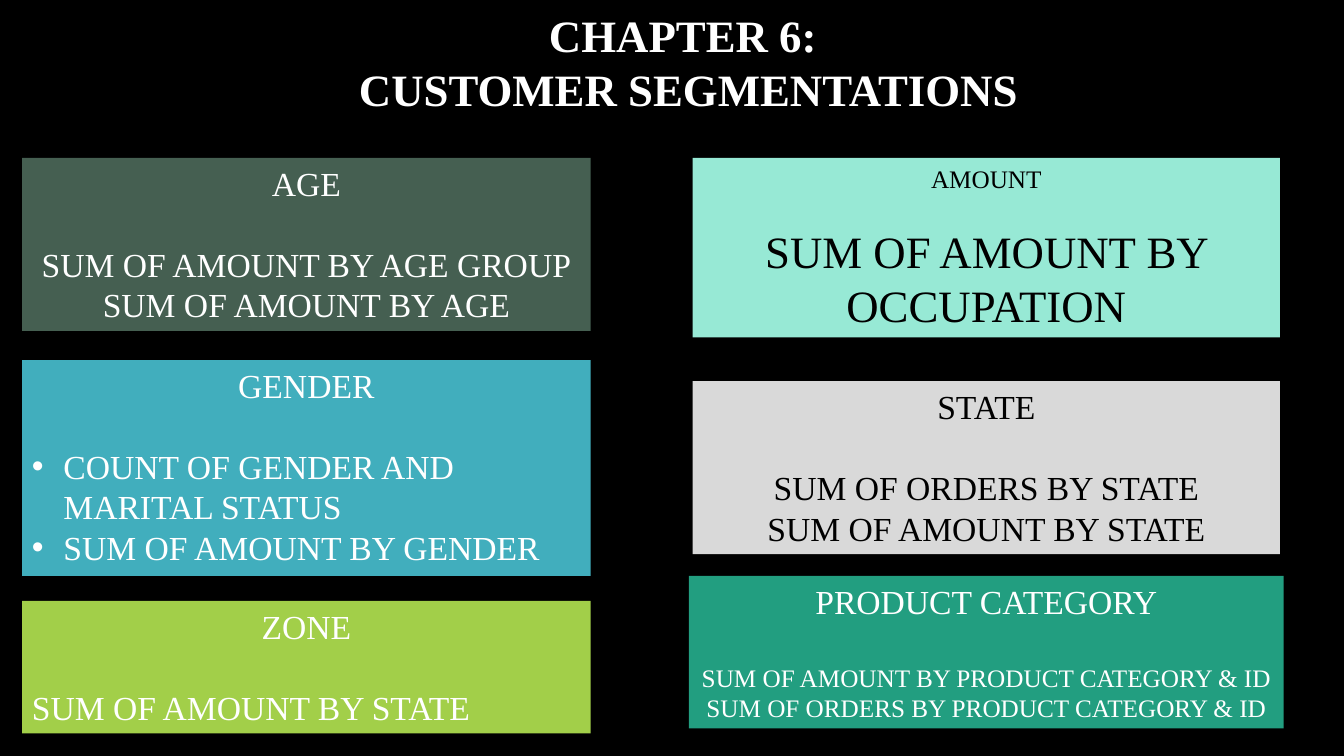
from dataclasses import dataclass

from lxml.etree import SubElement
from pptx import Presentation
from pptx.dml.color import RGBColor
from pptx.enum.shapes import MSO_SHAPE
from pptx.enum.text import MSO_ANCHOR, MSO_AUTO_SIZE, PP_ALIGN
from pptx.oxml.ns import qn
from pptx.util import Pt


@dataclass(frozen=True)
class Theme:
    font: str = "Times New Roman"
    background: str = "000000"
    light: str = "FFFFFF"
    dark: str = "000000"
    title_size: int = 32
    large: int = 32
    normal: int = 24
    small: int = 18
    forest: str = "455F51"
    blue: str = "41AEBD"
    lime: str = "A2CF49"
    mint: str = "97E9D5"
    grey: str = "D9D9D9"
    green: str = "229E80"
    line_height: float = 1.21
    bullet_indent: float = 22.5


@dataclass(frozen=True)
class Card:
    """One segment: top and height in points, heading and body lines."""
    heading: str
    lines: tuple
    top: float
    height: float
    fill: str
    ink: str
    heading_size: int
    body_size: int
    align: PP_ALIGN = PP_ALIGN.CENTER
    bulleted: bool = False
    outset: float = 0


THEME = Theme()
TITLE_LINES = ("CHAPTER 6: ", "CUSTOMER SEGMENTATIONS")
TITLE_FRAME = (247, 2.2, 489.6, 85)

LEFT_CARDS = (
    Card("AGE", ("SUM OF AMOUNT BY AGE GROUP", "SUM OF AMOUNT BY AGE"),
         112.8, 123.6, THEME.forest, THEME.light, THEME.normal, THEME.normal),
    Card("GENDER", ("COUNT OF GENDER AND MARITAL STATUS", "SUM OF AMOUNT BY GENDER"),
         257.2, 154.2, THEME.blue, THEME.light, THEME.normal, THEME.normal,
         PP_ALIGN.LEFT, bulleted=True),
    Card("ZONE", ("SUM OF AMOUNT BY STATE",),
         429.3, 94.5, THEME.lime, THEME.light, THEME.normal, THEME.normal,
         PP_ALIGN.LEFT),
)
RIGHT_CARDS = (
    Card("AMOUNT", ("SUM OF AMOUNT BY OCCUPATION",),
         112.8, 128.3, THEME.mint, THEME.dark, THEME.small, THEME.large),
    Card("STATE", ("SUM OF ORDERS BY STATE", "SUM OF AMOUNT BY STATE"),
         272.3, 123.6, THEME.grey, THEME.dark, THEME.normal, THEME.normal),
    Card("PRODUCT CATEGORY",
         ("SUM OF AMOUNT BY PRODUCT CATEGORY & ID",
          "SUM OF ORDERS BY PRODUCT CATEGORY & ID"),
         411.4, 109, THEME.green, THEME.light, THEME.normal, THEME.small,
         outset=2.7),
)
COLUMNS = ((15.8, 406.1, LEFT_CARDS), (494.8, 419.5, RIGHT_CARDS))


def color(value):
    return RGBColor.from_string(value)


def set_font(para, size, ink, bold=False):
    para.font.name = THEME.font
    para.font.size = Pt(size)
    para.font.bold = bold
    para.font.color.rgb = color(ink)


def add_bullet(para):
    properties = para._p.get_or_add_pPr()
    indent = Pt(THEME.bullet_indent)
    properties.set("marL", str(indent))
    properties.set("indent", str(-indent))
    SubElement(properties, qn("a:buFont"), typeface="Arial")
    SubElement(properties, qn("a:buChar"), char="•")


def add_lines(frame, lines):
    """Yield one paragraph per line, starting with the one already there."""
    for index, line in enumerate(lines):
        para = frame.add_paragraph() if index else frame.paragraphs[0]
        para.text = line
        yield para


def fill_title(title):
    title.left, title.top, title.width, title.height = map(Pt, TITLE_FRAME)
    frame = title.text_frame
    frame.word_wrap = False
    frame.auto_size = MSO_AUTO_SIZE.NONE
    frame.vertical_anchor = MSO_ANCHOR.TOP
    for para in add_lines(frame, TITLE_LINES):
        para.alignment = PP_ALIGN.CENTER
        set_font(para, THEME.title_size, THEME.light, bold=True)


def add_card(page, card, left, width):
    box = page.shapes.add_shape(
        MSO_SHAPE.RECTANGLE, Pt(left - card.outset), Pt(card.top),
        Pt(width + 2 * card.outset), Pt(card.height))
    box.shadow.inherit = False
    box.fill.solid()
    box.fill.fore_color.rgb = color(card.fill)
    box.line.fill.background()

    frame = box.text_frame
    frame.word_wrap = True
    frame.vertical_anchor = MSO_ANCHOR.TOP
    heading, *body = add_lines(frame, (card.heading, *card.lines))
    heading.alignment = PP_ALIGN.CENTER
    set_font(heading, card.heading_size, card.ink)
    body[0].space_before = Pt(card.heading_size * THEME.line_height)
    for para in body:
        para.alignment = card.align
        if card.bulleted:
            add_bullet(para)
        set_font(para, card.body_size, card.ink)


def main():
    deck = Presentation()
    deck.slide_width, deck.slide_height = Pt(960), Pt(540)
    page = deck.slides.add_slide(deck.slide_layouts.get_by_name("Title Only"))
    page.background.fill.solid()
    page.background.fill.fore_color.rgb = color(THEME.background)
    fill_title(page.shapes.title)
    for left, width, cards in COLUMNS:
        for card in cards:
            add_card(page, card, left, width)
    deck.save("out.pptx")


if __name__ == "__main__":
    main()
